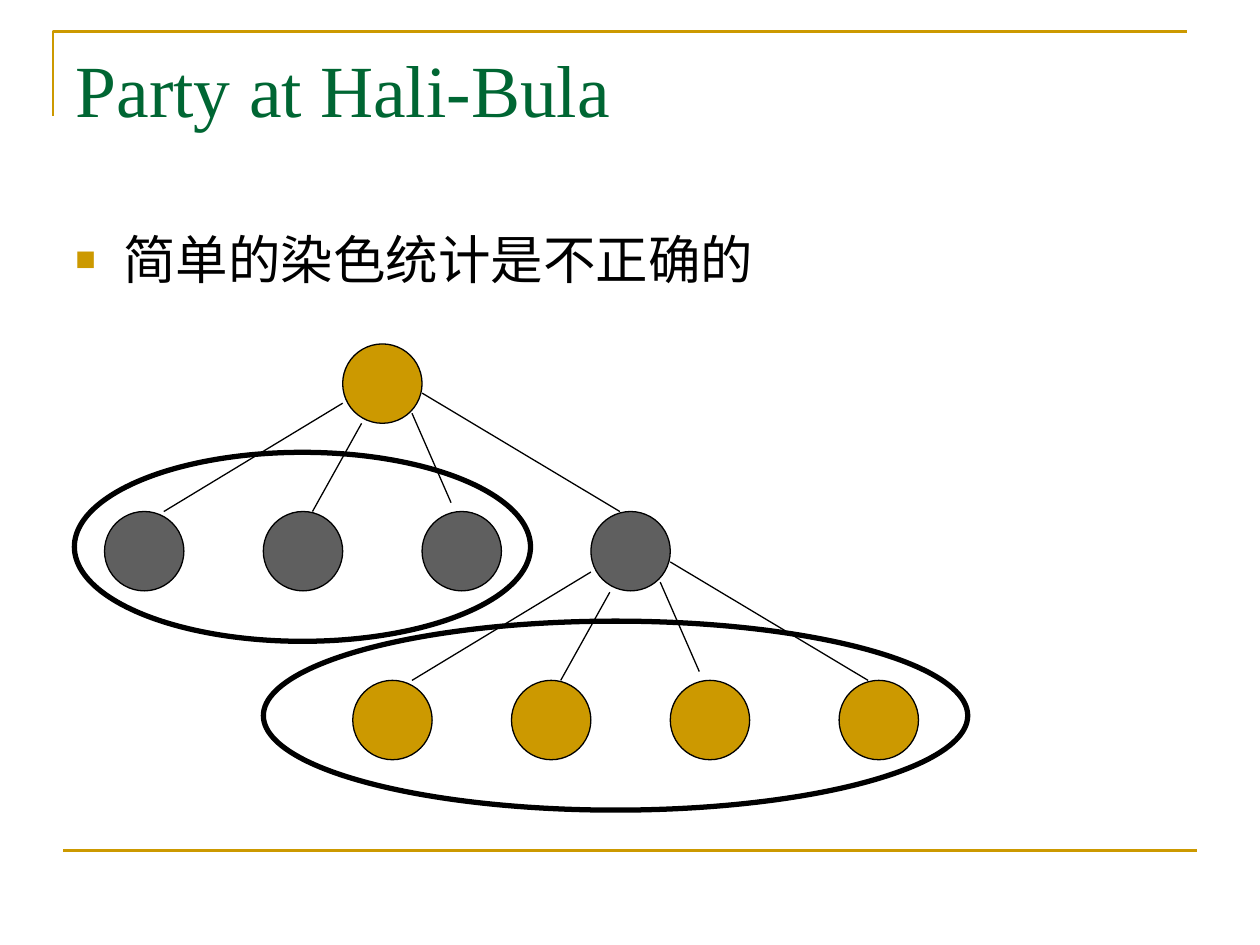
from lxml import etree
from pptx import Presentation
from pptx import util as u
from pptx.dml.color import RGBColor
from pptx.enum import shapes, text
from pptx.oxml import ns

GOLD, GRAY, BLACK = "CC9900", "5F5F5F", "000000"
SIZE = 0.63


def ink(line, color, width):
    line.color.rgb = RGBColor.from_string(color)
    line.width = u.Pt(width)


def draw(kind, box, color, width, fill=None):
    x, y, w, h = map(u.Inches, box)
    if kind == "line":
        item = slide.shapes.add_connector(shapes.MSO_CONNECTOR.STRAIGHT, x, y, w, h)
        etree.SubElement(item._element.spPr, ns.qn("a:effectLst"))
    else:
        item = slide.shapes.add_shape(shapes.MSO_SHAPE.OVAL, x, y, w, h)
        item.shadow.inherit = False
        if fill:
            item.fill.solid()
            item.fill.fore_color.rgb = RGBColor.from_string(fill)
        else:
            item.fill.background()
    ink(item.line, color, width)


deck = Presentation()
deck.slide_width, deck.slide_height = u.Inches(10), u.Inches(7.5)
slide = deck.slides.add_slide(deck.slide_layouts[5])

pen = slide.shapes.build_freeform(u.Inches(0.42), u.Inches(0.92))
pen.add_line_segments([(u.Inches(0.42), u.Inches(0.25)), (u.Inches(9.42), u.Inches(0.25))], close=False)
frame = pen.convert_to_shape()
frame.shadow.inherit = False
frame.fill.background()
ink(frame.line, GOLD, 1.5)
draw("line", (0.5, 6.75, 9.5, 6.75), GOLD, 1.5)

title = slide.shapes.title
title.left, title.top, title.width, title.height = map(u.Inches, (0.5, 0.3, 9, 1.25))
body = slide.shapes.add_textbox(*map(u.Inches, (0.5, 1.75, 9, 4.95)))
for box, words, font, size, color in (
    (title, "Party at Hali-Bula", "Times New Roman", 42, "006633"),
    (body, "简单的染色统计是不正确的", "Arial", 30, BLACK),
):
    area = box.text_frame
    area.text = words
    area.word_wrap = True
    area.auto_size = text.MSO_AUTO_SIZE.NONE
    area.vertical_anchor = text.MSO_ANCHOR.TOP
    para = area.paragraphs[0]
    para.alignment = text.PP_ALIGN.LEFT
    run = para.runs[0]
    run.font.name, run.font.size = font, u.Pt(size)
    run.font.color.rgb = RGBColor.from_string(color)

para.space_before = u.Pt(7.5)
props = para._p.get_or_add_pPr()
props.set("marL", str(u.Inches(0.38)))
props.set("indent", str(u.Inches(-0.38)))
tint = etree.SubElement(props, ns.qn("a:buClr"))
etree.SubElement(tint, ns.qn("a:srgbClr"), val=GOLD)
etree.SubElement(props, ns.qn("a:buSzPct"), val="65000")
etree.SubElement(props, ns.qn("a:buFont"), typeface="Arial")
etree.SubElement(props, ns.qn("a:buChar"), char="■")

steps = (-1.89, -0.63, 0.63, 1.97)
edges = (
    (0, 0.47, -1.42, 1.33),
    (0.15, 0.63, -0.24, 1.33),
    (0.55, 0.55, 0.86, 1.26),
    (0.63, 0.39, 2.2, 1.33),
)
draw("oval", (2.72, 2.73, SIZE, SIZE), BLACK, 0.74, GOLD)
for x, y, fill in ((2.72, 2.73, GRAY), (4.69, 4.07, GOLD)):
    for step in steps:
        draw("oval", (x + step, y + 1.33, SIZE, SIZE), BLACK, 0.74, fill)
    for a, b, c, d in edges:
        draw("line", (x + a, y + b, x + c, y + d), BLACK, 0.74)

for ring in ((0.59, 3.59, 3.62, 1.5), (2.09, 4.93, 5.59, 1.5)):
    draw("oval", ring, BLACK, 3)

deck.save("out.pptx")
